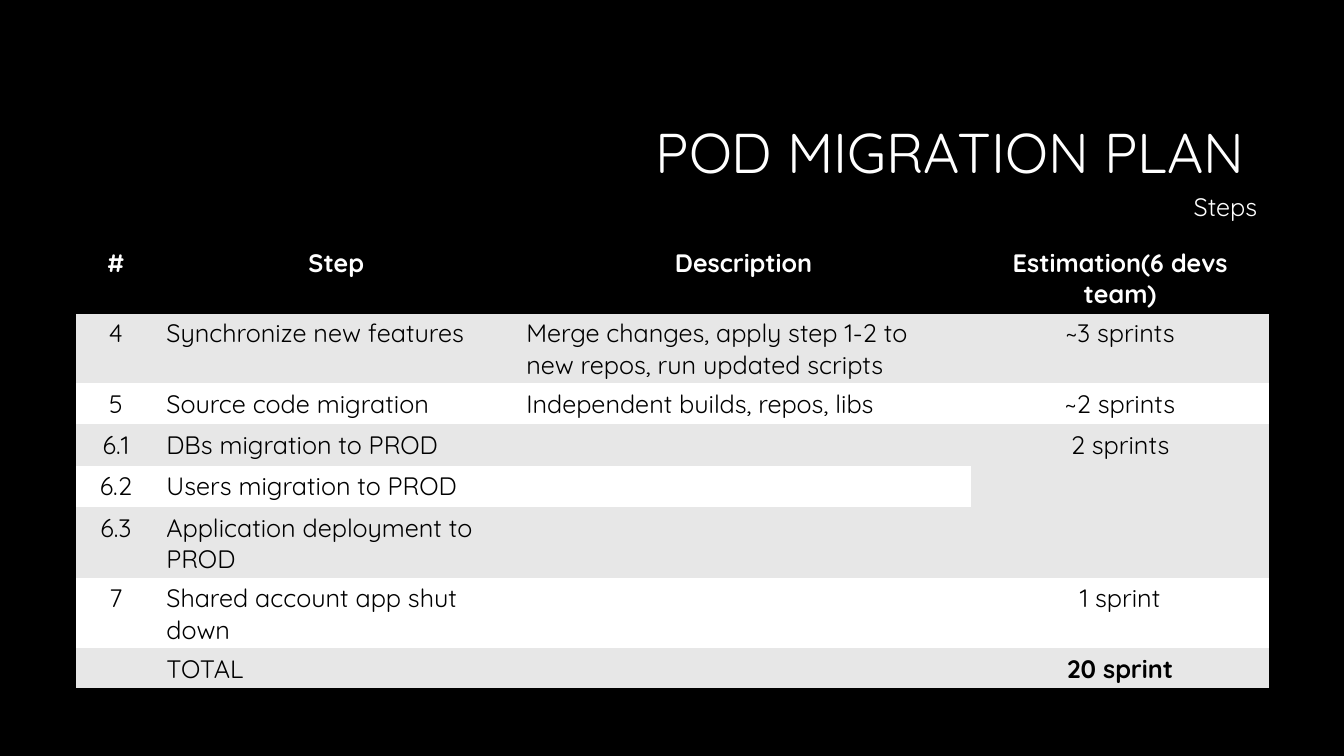
import lxml.etree
import pptx
import pptx.dml.color
import pptx.enum.text
import pptx.oxml.ns
import pptx.util

Inches = pptx.util.Inches
Pt = pptx.util.Pt
ALIGN = pptx.enum.text.PP_ALIGN
ANCHOR = pptx.enum.text.MSO_ANCHOR
qn = pptx.oxml.ns.qn

BLACK = pptx.dml.color.RGBColor(0x00, 0x00, 0x00)
WHITE = pptx.dml.color.RGBColor(0xFF, 0xFF, 0xFF)
GREY = pptx.dml.color.RGBColor(0xE7, 0xE7, 0xE7)
FONT = "Quicksand"
NO_GRID_STYLE = "{2D5ABB26-0587-4C30-8999-92F81FD0307C}"

COLUMN_WIDTHS = [0.8, 3.57, 4.51, 2.96]
ROW_HEIGHT = 0.41
HEADER = ["#", "Step", "Description", "Estimation(6 devs team)"]
STEPS = [
    ["4", "Synchronize new features",
     "Merge changes, apply step 1-2 to new repos, run updated scripts", "~3 sprints"],
    ["5", "Source code migration", "Independent builds, repos, libs", "~2 sprints"],
    ["6.1", "DBs migration to PROD", "", "2 sprints"],
    ["6.2", "Users migration to PROD", "", ""],
    ["6.3", "Application deployment to PROD", "", ""],
    ["7", "Shared account app shut down", "", "1 sprint"],
    ["", "TOTAL", "", "20 sprint"],
]
CENTRED_COLUMNS = (0, 3)
RELEASE_ROWS = (3, 5)


def write(paragraph, text, size, color, align, bold=False):
    paragraph.text = text
    paragraph.alignment = align
    font = paragraph.font
    font.name = FONT
    font.size = Pt(size)
    font.bold = bold
    font.color.rgb = color


def add_border(cell, side):
    line = lxml.etree.Element(qn("a:ln" + side), w=str(Pt(2)))
    fill = lxml.etree.SubElement(line, qn("a:solidFill"))
    lxml.etree.SubElement(fill, qn("a:srgbClr"), val=str(BLACK))
    cell._tc.get_or_add_tcPr().insert(0, line)


def add_heading(slide, left, top, width):
    title = slide.shapes.add_textbox(
        Inches(left), Inches(top), Inches(width), Inches(1.41)).text_frame
    title.word_wrap = True
    title.vertical_anchor = ANCHOR.MIDDLE
    write(title.paragraphs[0], "POD MIGRATION PLAN ", 40, WHITE, ALIGN.RIGHT)
    title.paragraphs[0].line_spacing = 0.9

    subtitle_width = 0.85
    subtitle = slide.shapes.add_textbox(
        Inches(left + width - subtitle_width), Inches(top + 1.01),
        Inches(subtitle_width), Inches(0.4)).text_frame
    subtitle.word_wrap = False
    write(subtitle.paragraphs[0], "Steps", 18, WHITE, ALIGN.LEFT)


def add_plan(slide, left, top):
    rows = [HEADER] + STEPS
    last = len(rows) - 1
    frame = slide.shapes.add_table(
        len(rows), len(HEADER), Inches(left), Inches(top),
        Inches(sum(COLUMN_WIDTHS)), Inches(ROW_HEIGHT * len(rows)))
    plan = frame.table
    plan._tbl.tblPr.find(qn("a:tableStyleId")).text = NO_GRID_STYLE
    for column, width in zip(plan.columns, COLUMN_WIDTHS):
        column.width = Inches(width)

    for r, texts in enumerate(rows):
        plan.rows[r].height = Inches(ROW_HEIGHT)
        is_header = r == 0
        background = BLACK if is_header else GREY if r % 2 else WHITE
        for c, text in enumerate(texts):
            cell = plan.cell(r, c)
            cell.fill.solid()
            cell.fill.fore_color.rgb = background
            if r in (0, last):
                add_border(cell, "B")
            if is_header:
                add_border(cell, "T")
            if text:
                centred = is_header or c in CENTRED_COLUMNS
                write(cell.text_frame.paragraphs[0], text, 18,
                      WHITE if is_header else BLACK,
                      ALIGN.CENTER if centred else ALIGN.LEFT,
                      is_header or (r, c) == (last, 3))

    first_release, last_release = RELEASE_ROWS
    plan.cell(first_release, 3).merge(plan.cell(last_release, 3))


def main():
    deck = pptx.Presentation()
    deck.slide_width = Inches(13.33)
    deck.slide_height = Inches(7.5)
    slide = deck.slides.add_slide(deck.slide_layouts[6])
    slide.background.fill.solid()
    slide.background.fill.fore_color.rgb = BLACK
    add_heading(slide, 3.17, 0.84, 9.42)
    add_plan(slide, 0.75, 2.4)
    deck.save("out.pptx")


if __name__ == "__main__":
    main()
